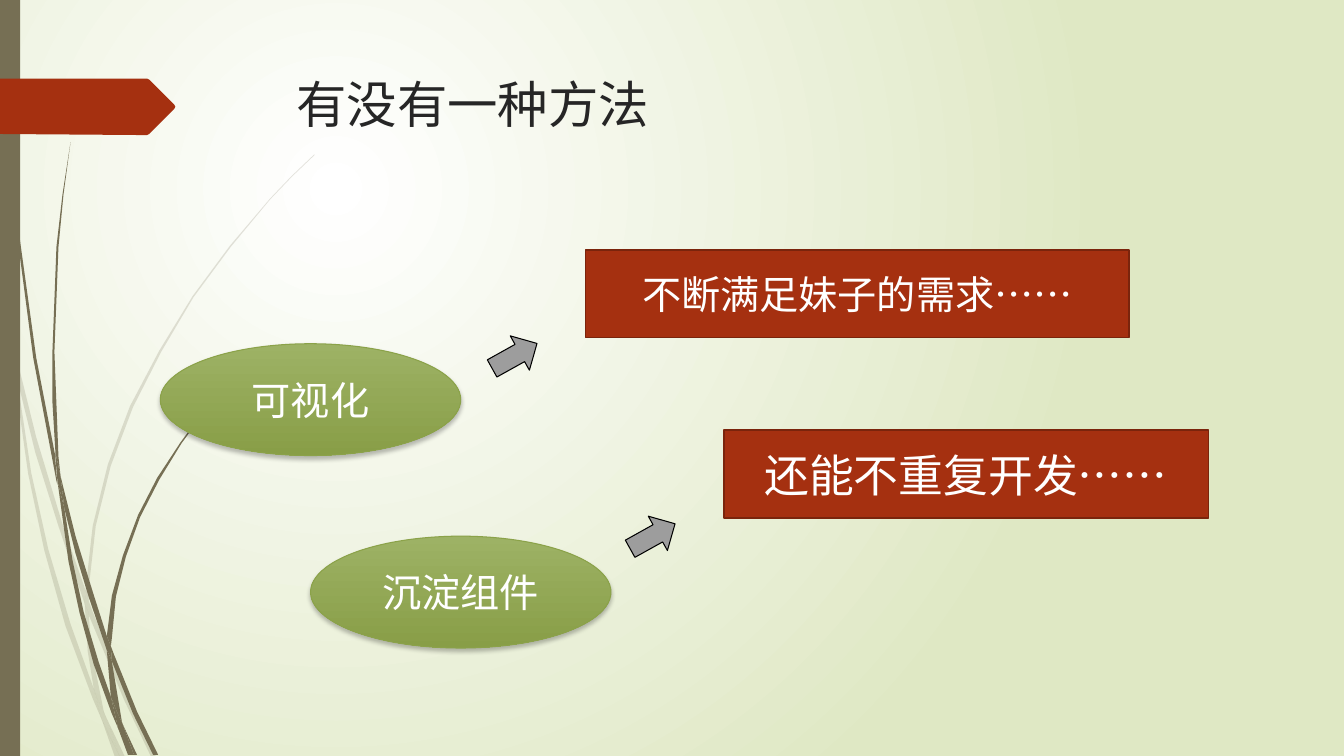
from lxml import etree
from pptx import Presentation
from pptx.dml.color import RGBColor
from pptx.enum.lang import MSO_LANGUAGE_ID as Language
from pptx.enum.shapes import MSO_SHAPE as Preset
from pptx.enum.text import MSO_ANCHOR as Anchor, PP_ALIGN as Align
from pptx.oxml.ns import qn
from pptx.util import Pt

COLORS = {
    "white": "FFFFFF", "mist": "DFE8C4", "olive": "766F54",
    "red": "A53010", "dark red": "7A240C", "title": "262626",
    "light green": "9DB265", "green": "889E47", "green edge": "8BA249",
    "gray": "9D9D9D", "black": "000000",
}
FONT = "League Spartan"
WIDTH, HEIGHT = 960, 540
GRID = 0.72  # points per outline unit

PALE_BLADES = [
    [(11, 350), (9, 322), (0, 282), (0, 299), (10, 344)],
    [(58, 522), (84, 599), (85, 586), (62, 520), (36, 434), (14, 345),
     (17, 376), (35, 449)],
    [(92, 607), (88, 596), (88, 610), (123, 694), (150, 751), (155, 751),
     (127, 692)],
    [(119, 751), (124, 751), (105, 711)],
    [(93, 683), (70, 619), (48, 545), (31, 469), (17, 376), (11, 350),
     (28, 470), (44, 546), (65, 621), (92, 693), (101, 714), (99, 707)],
    [(84, 599), (87, 646), (93, 683), (96, 692), (105, 711), (103, 706),
     (91, 646), (88, 610), (88, 608)],
    [(88, 584), (95, 522), (110, 462), (132, 404), (160, 349), (192, 295),
     (229, 245), (268, 198), (290, 175), (312, 154), (312, 153), (289, 175),
     (268, 197), (228, 244), (191, 294), (158, 348), (129, 403), (107, 461),
     (92, 522), (85, 584), (85, 586), (88, 596)],
    [(101, 714), (114, 751), (119, 751)],
    [(88, 608), (88, 610), (88, 596), (85, 586), (84, 599)],
    [(96, 692), (93, 683), (99, 707), (101, 714), (119, 751), (105, 711)],
]
DARK_BLADES = [
    [(7, 110), (17, 233), (33, 355), (56, 477), (57, 481), (55, 457),
     (55, 453), (36, 355), (19, 232), (8, 109), (5, 48), (4, 0), (3, 0),
     (4, 48)],
    [(88, 592), (106, 645), (106, 631), (93, 590), (75, 532), (60, 472),
     (64, 505), (75, 549)],
    [(113, 649), (110, 641), (111, 656), (132, 708), (152, 749), (157, 749),
     (136, 706)],
    [(110, 691), (98, 657), (83, 607), (72, 556), (64, 505), (57, 477),
     (68, 557), (79, 608), (93, 659), (111, 708), (117, 722), (116, 717)],
    [(60, 472), (58, 453), (54, 349), (58, 245), (63, 193), (70, 141),
     (62, 193), (56, 245), (52, 349), (52, 399), (55, 449)],
    [(133, 749), (136, 749), (122, 719)],
    [(57, 477), (64, 505), (60, 472), (55, 449), (55, 453)],
    [(111, 633), (115, 592), (125, 552), (139, 513), (158, 476), (180, 440),
     (205, 406), (231, 374), (245, 359), (261, 344), (260, 344), (245, 358),
     (231, 373), (204, 405), (179, 439), (156, 474), (137, 511), (122, 551),
     (111, 591), (106, 631), (110, 641)],
    [(117, 722), (127, 749), (131, 749)],
    [(106, 645), (110, 691), (116, 706), (122, 719), (121, 716), (111, 656),
     (109, 651)],
    [(106, 645), (109, 651), (111, 656), (110, 641), (106, 631)],
    [(116, 706), (110, 691), (116, 717), (117, 722), (130, 749), (133, 749),
     (122, 719)],
]
PENNANT = [(173, 108), (148, 133), (146, 134), (136, 134), (0, 133), (0, 78),
           (146, 78), (148, 79), (173, 104), (174, 106)]


def rgb(name):
    return RGBColor.from_string(COLORS[name])


class SlideBuilder:
    def __init__(self, presentation):
        self.slide = presentation.slides.add_slide(presentation.slide_layouts[6])
        self.shapes = self.slide.shapes

    def blend(self, fill, colors):
        fill.gradient()
        for stop, position, color in zip(fill.gradient_stops, (0, 1), colors):
            stop.position = position
            stop.color.rgb = rgb(color)

    def glow_background(self, inner, outer):
        """Fill the background with a round gradient centred up and left."""
        fill = self.slide.background.fill
        self.blend(fill, (inner, outer))
        linear = next(self.slide.element.iter(qn("a:lin")))
        circle = etree.Element(qn("a:path"), path="circle")
        etree.SubElement(circle, qn("a:fillToRect"), l="50000", t="50000",
                         r="100000", b="100000")
        linear.getparent().replace(linear, circle)

    def paint(self, shape, fill, line=None, line_width=0.75):
        shape.shadow.inherit = False
        if isinstance(fill, tuple):
            self.blend(shape.fill, fill)
            shape.fill.gradient_angle = 270
        else:
            shape.fill.solid()
            shape.fill.fore_color.rgb = rgb(fill)
        if line:
            shape.line.color.rgb = rgb(line)
            shape.line.width = Pt(line_width)
        else:
            shape.line.fill.background()

    def outline(self, points, color, opacity=None):
        (start_x, start_y), *rest = [(Pt(x * GRID), Pt(y * GRID)) for x, y in points]
        builder = self.shapes.build_freeform(start_x, start_y)
        builder.add_line_segments(rest, close=True)
        shape = builder.convert_to_shape()
        self.paint(shape, color)
        if opacity:
            color_node = next(shape.element.spPr.iter(qn("a:srgbClr")))
            etree.SubElement(color_node, qn("a:alpha"), val=str(opacity * 1000))

    def preset(self, kind, box, *style):
        shape = self.shapes.add_shape(kind, *map(Pt, box))
        self.paint(shape, *style)
        return shape

    def add_text(self, shape, text, size, color="white", align=Align.CENTER,
                 anchor=Anchor.MIDDLE):
        frame = shape.text_frame
        frame.word_wrap = True
        frame.vertical_anchor = anchor
        paragraph = frame.paragraphs[0]
        paragraph.alignment = align
        run = paragraph.add_run()
        run.text = text
        run.font.name = FONT
        run.font.size = Pt(size)
        run.font.color.rgb = rgb(color)
        run.font.language_id = Language.SIMPLIFIED_CHINESE

    def title(self, text, box):
        shape = self.shapes.add_textbox(*map(Pt, box))
        self.add_text(shape, text, 36, "title", Align.LEFT, Anchor.TOP)

    def benefit(self, text, size, box):
        shape = self.preset(Preset.RECTANGLE, box, "red", "dark red", 1.25)
        self.add_text(shape, text, size)

    def method(self, text, left, top):
        shape = self.preset(Preset.OVAL, (left, top, 214.6, 79.9),
                            ("light green", "green"), "green edge")
        effects = shape.element.spPr.find(qn("a:effectLst"))
        shadow = etree.SubElement(effects, qn("a:outerShdw"), blurRad=str(Pt(3)),
                                  dist=str(Pt(2)), dir="5400000", rotWithShape="0")
        color = etree.SubElement(shadow, qn("a:srgbClr"), val=COLORS["black"])
        etree.SubElement(color, qn("a:alpha"), val="25000")
        self.add_text(shape, text, 28)

    def arrow_toward(self, left, top):
        """Add an arrow that points up at the box with this corner."""
        shape = self.preset(Preset.RIGHT_ARROW, (left - 69.1, top + 61.6, 36.7, 28.1),
                            "gray", "black")
        shape.rotation = 330.9


def main():
    presentation = Presentation()
    presentation.slide_width, presentation.slide_height = Pt(WIDTH), Pt(HEIGHT)
    builder = SlideBuilder(presentation)
    builder.glow_background("white", "mist")
    for blade in PALE_BLADES:
        builder.outline(blade, "olive", opacity=20)
    for blade in DARK_BLADES:
        builder.outline(blade, "olive")
    builder.preset(Preset.RECTANGLE, (0, 0, 14.4, HEIGHT), "olive")
    builder.outline(PENNANT, "red")
    builder.title("有没有一种方法", (204.5, 49, 702, 100.8))

    benefits = [("不断满足妹子的需求……", 28, (418.3, 178.6, 388.1, 62.6)),
                ("还能不重复开发……", 32, (516.9, 307.4, 346.3, 62.6))]
    for text, size, box in benefits:
        builder.benefit(text, size, box)
    builder.method("可视化", 114.5, 245.5)
    builder.method("沉淀组件", 221.8, 383)
    for _, _, (left, top, *_) in benefits:
        builder.arrow_toward(left, top)
    presentation.save("out.pptx")


if __name__ == "__main__":
    main()
